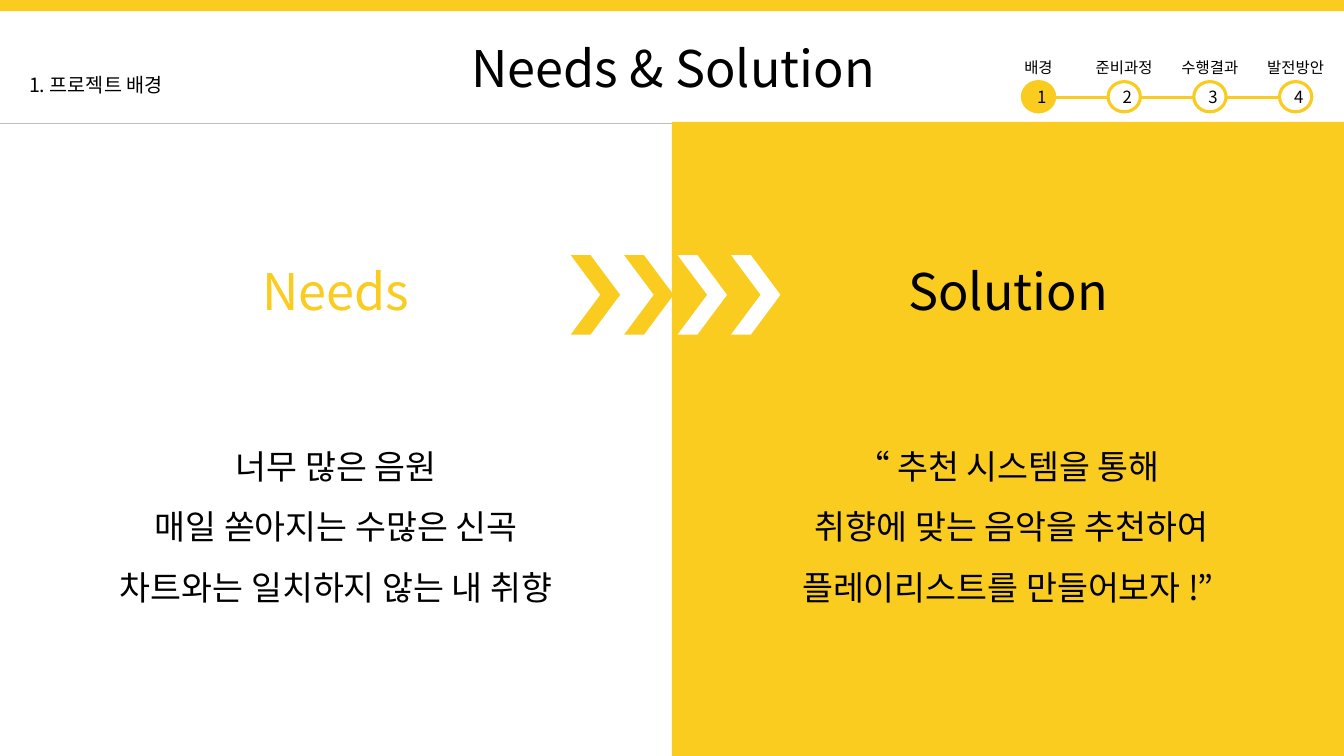
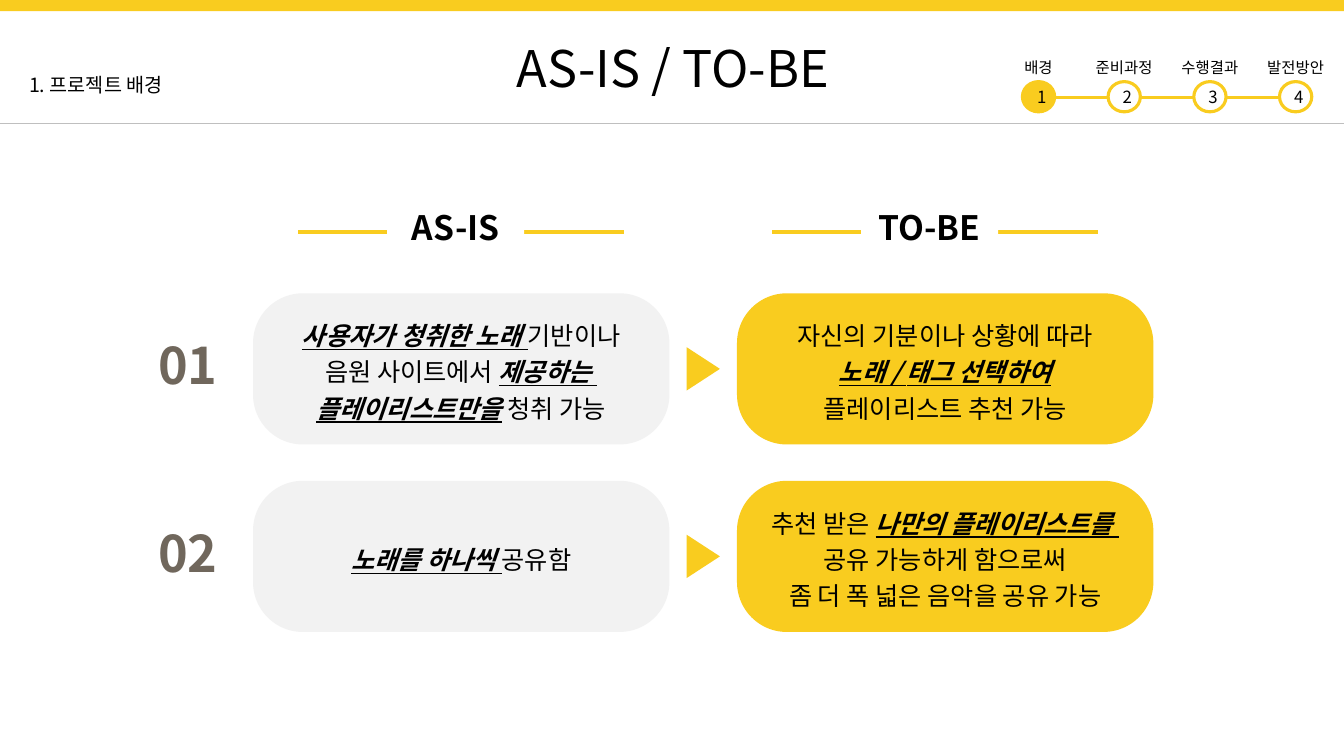
from lxml.etree import SubElement
from pptx import Presentation
from pptx.dml.color import RGBColor
from pptx.enum.shapes import MSO_CONNECTOR, MSO_SHAPE
from pptx.enum.text import MSO_ANCHOR, MSO_AUTO_SIZE, PP_ALIGN
from pptx.oxml.ns import qn
from pptx.util import Inches, Pt

FONT = "Noto Sans CJK KR"
COLORS = {
    "gold": "F9CC1F",
    "white": "FFFFFF",
    "black": "000000",
    "pale": "F2F2F2",
    "stone": "70675C",
    "rule": "BFBFBF",
}
STEPS = ["배경", "준비과정", "수행결과", "발전방안"]
WIDTH, HEIGHT = 13.33, 7.5
HEAD = 1.22


def color(name):
    return RGBColor.from_string(COLORS[name])


def add_run(para, text, size, ink="black", bold=False, accent=False):
    run = para.add_run()
    run.text = text
    font = run.font
    font.name = FONT
    font.size = Pt(size)
    font.color.rgb = color(ink)
    font.bold = bold or accent
    font.italic = accent
    font.underline = accent
    SubElement(run._r.get_or_add_rPr(), qn("a:ea")).set("typeface", FONT)


def write(frame, lines, size, ink="black", bold=False, space=None, align=PP_ALIGN.CENTER):
    for i, line in enumerate(lines):
        para = frame.paragraphs[0] if i == 0 else frame.add_paragraph()
        para.alignment = align
        if space:
            para.line_spacing = space
        for text, accent in [(line, False)] if isinstance(line, str) else line:
            add_run(para, text, size, ink, bold, accent)


def add_text(slide, box, lines, size, wrap=True, **style):
    frame = slide.shapes.add_textbox(*map(Inches, box)).text_frame
    frame.word_wrap = wrap
    write(frame, lines, size, **style)


def add_box(slide, kind, box, fill, edge=None):
    shape = slide.shapes.add_shape(kind, *map(Inches, box))
    shape.shadow.inherit = False
    shape.fill.solid()
    shape.fill.fore_color.rgb = color(fill)
    if edge:
        shape.line.color.rgb = color(edge)
        shape.line.width = Pt(2.25)
    else:
        shape.line.fill.background()
    return shape


def add_line(slide, left, right, y, ink, width):
    ends = map(Inches, (left, y, right, y))
    line = slide.shapes.add_connector(MSO_CONNECTOR.STRAIGHT, *ends)
    line.line.color.rgb = color(ink)
    line.line.width = Pt(width)
    SubElement(line._element.spPr, qn("a:effectLst"))


def add_steps(slide, left, top, active):
    pitch, wide, high = 0.85, 0.32, 0.3
    add_line(slide, left, left + 3 * pitch + wide, top + 0.44, "gold", 2.25)
    for i, name in enumerate(STEPS):
        x = left + i * pitch
        label = (x + wide / 2 - 0.43, top, 0.86, 0.29)
        add_text(slide, label, [name], 11)
        fill = "gold" if i + 1 == active else "white"
        dot = add_box(slide, MSO_SHAPE.OVAL, (x, top + 0.28, wide, high), fill, "gold")
        write(dot.text_frame, [str(i + 1)], 12)


def add_page(deck, title):
    slide = deck.slides.add_slide(deck.slide_layouts[5])
    add_box(slide, MSO_SHAPE.RECTANGLE, (0, 0, WIDTH, 0.11), "gold")
    add_line(slide, 0, WIDTH, HEAD, "rule", 0.5)
    add_text(slide, (0.19, 0.67, 1.67, 0.34), ["1. 프로젝트 배경"], 14,
             wrap=False, align=PP_ALIGN.LEFT)
    head = slide.shapes.title
    head.left, head.top, head.width, head.height = map(Inches, (3.87, 0.32, 5.61, 0.71))
    frame = head.text_frame
    frame.auto_size = MSO_AUTO_SIZE.NONE
    frame.vertical_anchor = MSO_ANCHOR.TOP
    write(frame, [title], 36)
    add_steps(slide, 10.14, 0.53, 1)
    return slide


def add_half(slide, left, top, name, ink, lines):
    wide = WIDTH / 2
    add_text(slide, (left, top + 1.31, wide, 0.71), [name], 36, ink=ink)
    add_text(slide, (left + 0.5, top + 2.95, wide - 1, 1.85), lines, 24, space=1.5)


def add_arrows(slide, left, top):
    for i, fill in enumerate(["gold", "gold", "white", "white"]):
        box = (left + i * 0.53, top, 0.49, 0.79)
        add_box(slide, MSO_SHAPE.CHEVRON, box, fill).adjustments[0] = 0.6


def add_needs(deck):
    slide = add_page(deck, "Needs & Solution")
    half = WIDTH / 2
    add_box(slide, MSO_SHAPE.RECTANGLE, (half, 1.21, half, HEIGHT - 1.21), "gold")
    add_arrows(slide, 5.66, 2.53)
    add_half(slide, 0, HEAD, "Needs", "gold",
             ["너무 많은 음원", "매일 쏟아지는 수많은 신곡", "차트와는 일치하지 않는 내 취향"])
    add_half(slide, half, HEAD, "Solution", "black",
             ["“ 추천 시스템을 통해", " 취향에 맞는 음악을 추천하여", "플레이리스트를 만들어보자 !”"])


def add_head(slide, left, top, name):
    add_line(slide, left, left + 3.23, top + 0.48, "gold", 3)
    box = (left + 0.88, top, 1.36, 0.87)
    plate = add_box(slide, MSO_SHAPE.RECTANGLE, box, "white")
    write(plate.text_frame, [name], 24, bold=True)


def add_card(slide, box, fill, lines):
    card = add_box(slide, MSO_SHAPE.ROUNDED_RECTANGLE, box, fill)
    card.adjustments[0] = 0.33
    write(card.text_frame, lines, 18, space=1.2)


def add_row(slide, left, top, number, before, after):
    wide, high, pitch = 4.13, 1.5, 4.8
    add_text(slide, (left - 1.04, top + 0.36, 0.92, 0.71), [number], 36,
             ink="stone", bold=True, align=PP_ALIGN.LEFT)
    add_card(slide, (left, top, wide, high), "pale", before)
    add_card(slide, (left + pitch, top, wide, high), "gold", after)
    mark = (left + 4.25, top + (high - 0.33) / 2, 0.43, 0.33)
    add_box(slide, MSO_SHAPE.ISOSCELES_TRIANGLE, mark, "gold").rotation = 90


def add_change(deck):
    slide = add_page(deck, "AS-IS / TO-BE")
    add_head(slide, 2.96, 1.82, "AS-IS")
    add_head(slide, 7.66, 1.82, "TO-BE")
    rows = [
        ([[("사용자가 청취한 노래 ", True), ("기반이나", False)],
          [("음원 사이트에서 ", False), ("제공하는 ", True)],
          [("플레이리스트만을", True), (" 청취 가능", False)]],
         ["자신의 기분이나 상황에 따라",
          [("노래 / 태그 선택하여", True)],
          "플레이리스트 추천 가능"]),
        ([[("노래를 하나씩 ", True), ("공유함", False)]],
         [[("추천 받은 ", False), ("나만의 플레이리스트를 ", True)],
          "공유 가능하게 함으로써",
          "좀 더 폭 넓은 음악을 공유 가능"]),
    ]
    for i, (before, after) in enumerate(rows):
        add_row(slide, 2.51, 2.91 + i * 1.86, f"{i + 1:02}", before, after)


def main():
    deck = Presentation()
    deck.slide_width = Inches(WIDTH)
    deck.slide_height = Inches(HEIGHT)
    add_needs(deck)
    add_change(deck)
    deck.save("out.pptx")


if __name__ == "__main__":
    main()
